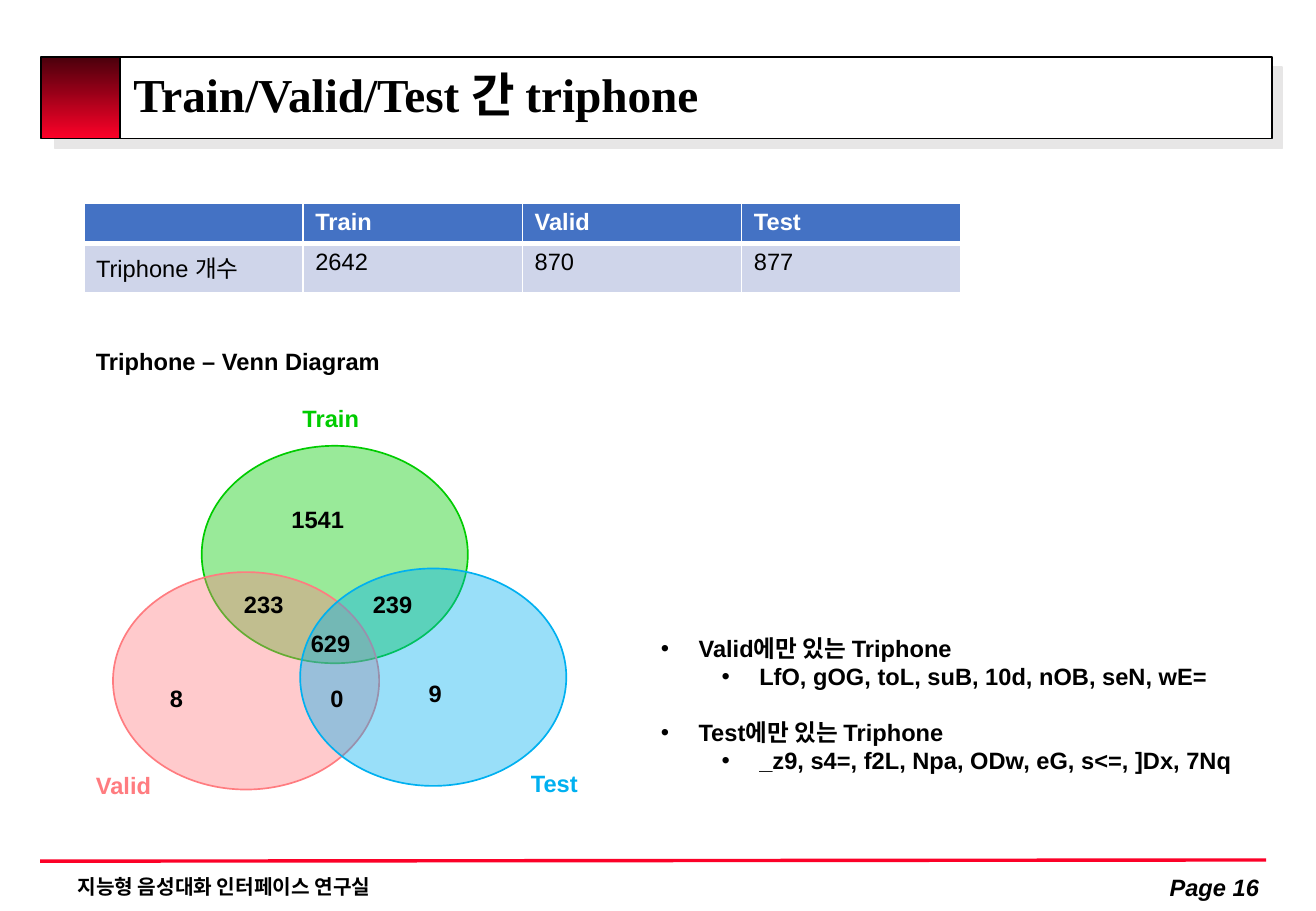
"""Build the slide on triphones shared by the Train, Valid and Test sets."""
import lxml.etree
import pptx
import pptx.dml.color
import pptx.enum.shapes
import pptx.enum.text
import pptx.oxml.ns
import pptx.util

Inches = pptx.util.Inches
Pt = pptx.util.Pt
RGBColor = pptx.dml.color.RGBColor
qn = pptx.oxml.ns.qn
SHAPE = pptx.enum.shapes.MSO_SHAPE
ALIGN = pptx.enum.text.PP_ALIGN
ANCHOR = pptx.enum.text.MSO_ANCHOR

BLACK = RGBColor(0x00, 0x00, 0x00)
WHITE = RGBColor(0xFF, 0xFF, 0xFF)
SHADOW = RGBColor(0xE7, 0xE6, 0xE6)
RED = RGBColor(0xFC, 0x01, 0x28)
DARK_RED = RGBColor(0x4B, 0x00, 0x0C)
GREEN = RGBColor(0x00, 0xCC, 0x00)
PINK = RGBColor(0xFF, 0x7C, 0x80)
SKY = RGBColor(0x00, 0xB0, 0xF0)
HEADER = RGBColor(0x44, 0x72, 0xC4)
BAND = RGBColor(0xCF, 0xD5, 0xEA)


def write(p, text, size=14, color=BLACK, bold=True, italic=False, font="Arial", align=ALIGN.LEFT):
    """Write one formatted run into a paragraph."""
    p.alignment = align
    r = p.add_run()
    r.text = text
    r.font.size, r.font.name = Pt(size), font
    r.font.bold, r.font.italic = bold, italic
    r.font.color.rgb = color
    return r


def add_shadow(props, distance):
    """Add a hard shadow down and to the right."""
    effects = props.find(qn("a:effectLst"))
    if effects is None:
        effects = lxml.etree.Element(qn("a:effectLst"))
        props.find(qn("a:solidFill")).addnext(effects)
    shadow = lxml.etree.SubElement(effects, qn("a:outerShdw"), blurRad="0",
                                   dist=str(Pt(distance)), dir="2700000", algn="ctr", rotWithShape="0")
    lxml.etree.SubElement(shadow, qn("a:srgbClr"), val=str(SHADOW))


prs = pptx.Presentation()
prs.slide_width, prs.slide_height = Inches(10.83), Inches(7.5)
s = prs.slides.add_slide(prs.slide_layouts[6])

for left, width in [(0.37, 10.1), (0.34, 0.65)]:
    sp = s.shapes.add_shape(SHAPE.RECTANGLE, Inches(left), Inches(0.47), Inches(width), Inches(0.67))
    sp.shadow.inherit = False
    sp.line.color.rgb, sp.line.width = BLACK, Pt(1)
    if left == 0.37:
        sp.fill.solid()
        sp.fill.fore_color.rgb = WHITE
        add_shadow(sp._element.spPr, 8.5)
    else:
        sp.fill.gradient()
        sp.fill.gradient_angle = 270
        for stop, color in zip(sp.fill.gradient_stops, (DARK_RED, RED)):
            stop.color.rgb = color

rule = s.shapes.add_connector(pptx.enum.shapes.MSO_CONNECTOR.STRAIGHT,
                              Inches(0.33), Inches(7.09), Inches(10.42), Inches(7.08))
rule.line.color.rgb, rule.line.width = RED, Pt(2)
lxml.etree.SubElement(rule._element.spPr, qn("a:effectLst"))

venn = s.shapes.add_group_shape()
for left, top, color in [(1.66, 3.67, GREEN), (0.93, 4.71, PINK), (2.47, 4.68, SKY)]:
    sp = venn.shapes.add_shape(SHAPE.OVAL, Inches(left), Inches(top), Inches(2.19), Inches(1.79))
    sp.shadow.inherit = False
    sp.fill.solid()
    sp.fill.fore_color.rgb = color
    fill_color = sp._element.spPr.find(qn("a:solidFill"))[0]
    lxml.etree.SubElement(fill_color, qn("a:alpha"), val="40000")
    sp.line.color.rgb, sp.line.width = color, Pt(1)

TITLE = "Train/Valid/Test 간 triphone"
texts = [
    (s, TITLE, 1, 0.44, 9.5, 0.75, dict(size=28, font="Times New Roman")),
    (s, "지능형 음성대화 인터페이스 연구실", 0.54, 7.15, 7.24, 0.3, dict(size=12)),
    (s, "Page 16", 9.29, 7.14, 1.17, 0.33, dict(italic=True, align=ALIGN.RIGHT)),
    (s, "Triphone – Venn Diagram", 0.69, 2.81, 2.94, 0.34, {}),
    (venn, "Train", 2.39, 3.28, 0.91, 0.36, dict(color=GREEN)),
    (venn, "Valid", 0.69, 6.3, 0.91, 0.36, dict(color=PINK)),
    (venn, "Test", 4.27, 6.28, 0.91, 0.36, dict(color=SKY)),
    (venn, "1541", 2.3, 4.11, 0.91, 0.36, {}),
    (venn, "233", 1.91, 4.81, 0.66, 0.36, {}),
    (venn, "239", 2.97, 4.81, 0.66, 0.36, {}),
    (venn, "629", 2.46, 5.13, 0.66, 0.36, {}),
    (venn, "8", 1.3, 5.58, 0.36, 0.36, {}),
    (venn, "0", 2.62, 5.58, 0.36, 0.36, {}),
    (venn, "9", 3.43, 5.54, 0.91, 0.36, {}),
]
for parent, text, left, top, width, height, style in texts:
    tf = parent.shapes.add_textbox(Inches(left), Inches(top), Inches(width), Inches(height)).text_frame
    tf.word_wrap = True
    tf.vertical_anchor = ANCHOR.MIDDLE if text in (TITLE, "Page 16") else ANCHOR.TOP
    r = write(tf.paragraphs[0], text, **style)
    if text == TITLE:
        tf.paragraphs[0].line_spacing = 0.8
        add_shadow(r.font._element, 2)

rows = [["", "Train", "Valid", "Test"], ["Triphone 개수", "2642", "870", "877"]]
table = s.shapes.add_table(2, 4, Inches(0.69), Inches(1.67), Inches(7.22), Inches(0.73)).table
table.rows[0].height, table.rows[1].height = Inches(0.32), Inches(0.41)
for i, row in enumerate(rows):
    for j, text in enumerate(row):
        cell = table.cell(i, j)
        p = cell.text_frame.paragraphs[0]
        if text:
            write(p, text, color=BLACK if i else WHITE, bold=i == 0)
        else:
            lxml.etree.SubElement(p._p, qn("a:endParaRPr"), sz="1400")
        cell.fill.solid()
        cell.fill.fore_color.rgb = BAND if i else HEADER
        borders = {"lnL": 1, "lnR": 1, "lnT": 3 if i else 1, "lnB": 1 if i else 3}
        for k, (side, width) in enumerate(borders.items()):
            ln = lxml.etree.Element(qn("a:" + side), w=str(Pt(width)))
            fill = lxml.etree.SubElement(ln, qn("a:solidFill"))
            lxml.etree.SubElement(fill, qn("a:srgbClr"), val=str(WHITE))
            cell._tc.tcPr.insert(k, ln)

bullets = [
    (0, "Valid에만 있는 Triphone"),
    (1, "LfO, gOG, toL, suB, 10d, nOB, seN, wE="),
    (0, "Test에만 있는 Triphone"),
    (1, "_z9, s4=, f2L, Npa, ODw, eG, s<=, ]Dx, 7Nq"),
]
tf = s.shapes.add_textbox(Inches(5.34), Inches(5.17), Inches(5.12), Inches(1.75)).text_frame
tf.word_wrap = True
for i, (level, text) in enumerate(bullets):
    p = tf.add_paragraph() if i else tf.paragraphs[0]
    p.level = level
    write(p, text)
    if i == 2:
        p.space_before = Pt(16)
    pPr = p._p.get_or_add_pPr()
    pPr.set("marL", str(Inches(0.31 + 0.5 * level)))
    pPr.set("indent", str(Inches(-0.31)))
    lxml.etree.SubElement(pPr, qn("a:buFont"), typeface="Arial")
    lxml.etree.SubElement(pPr, qn("a:buChar"), char="•")

prs.save("out.pptx")
